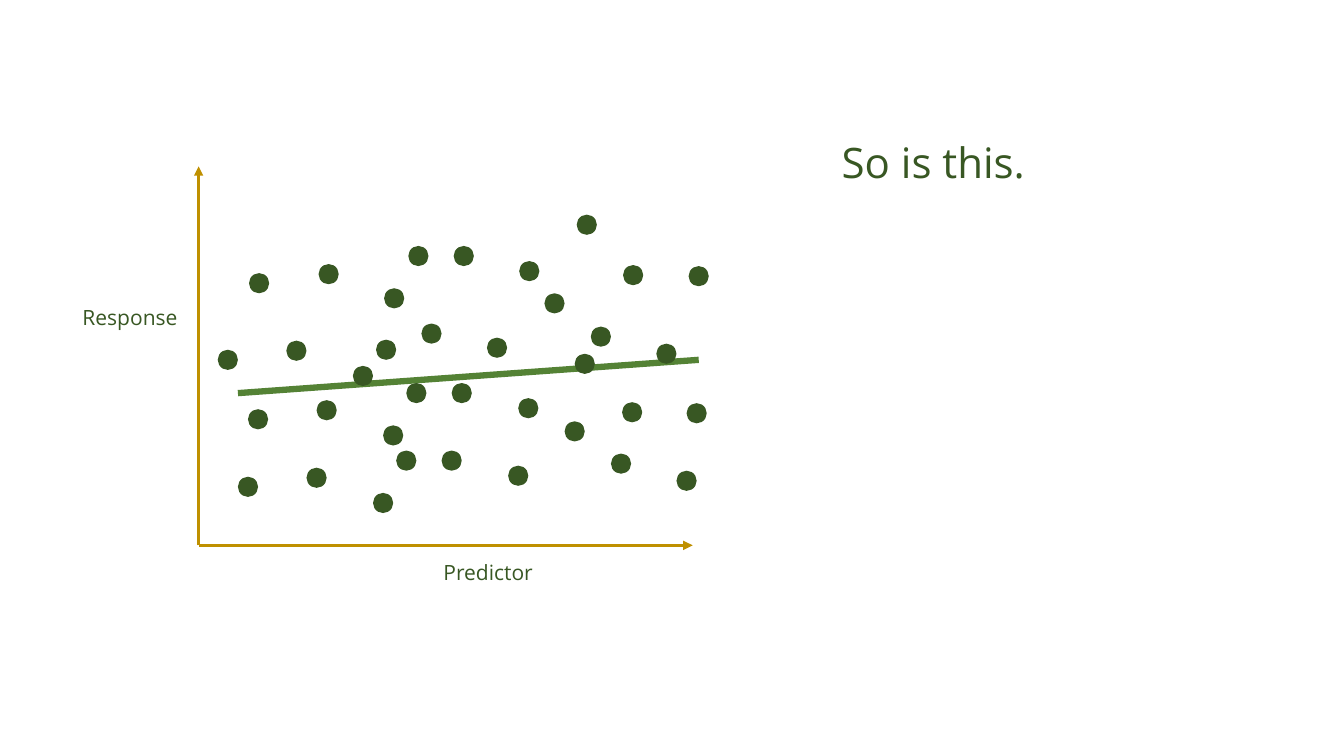
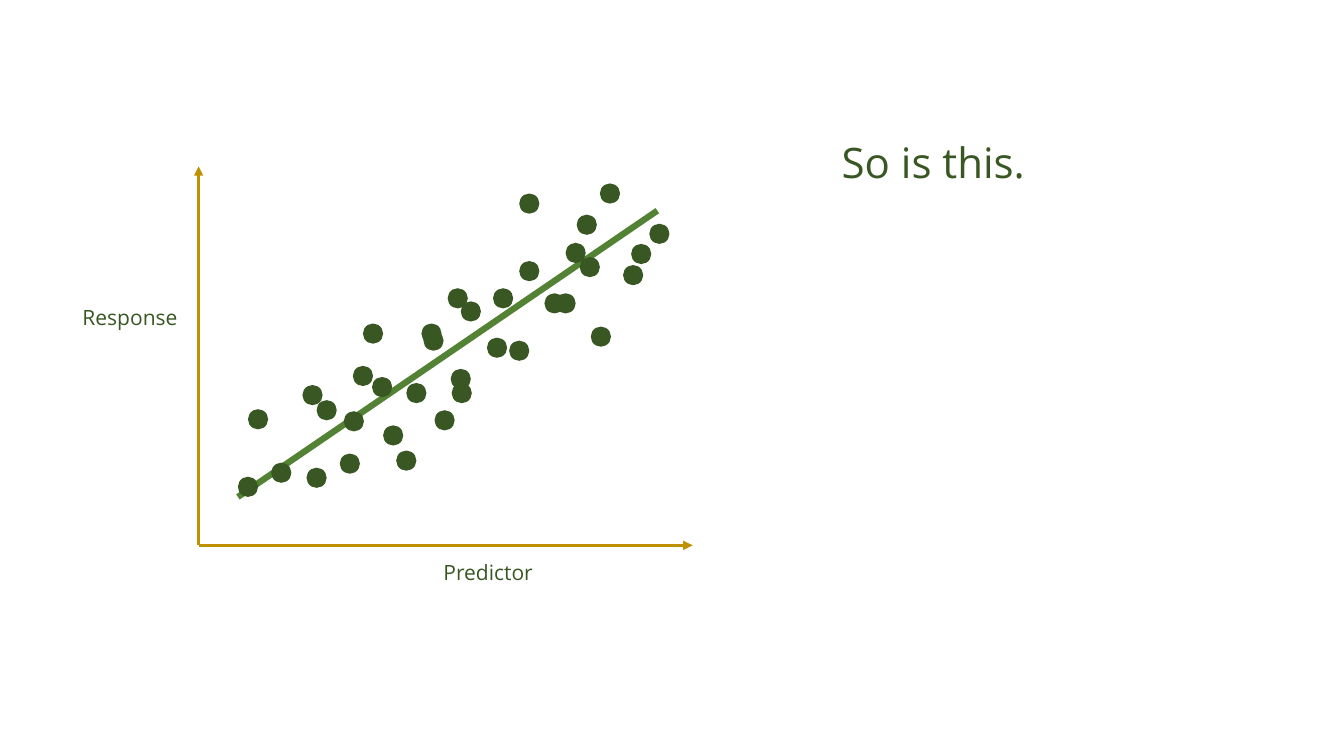
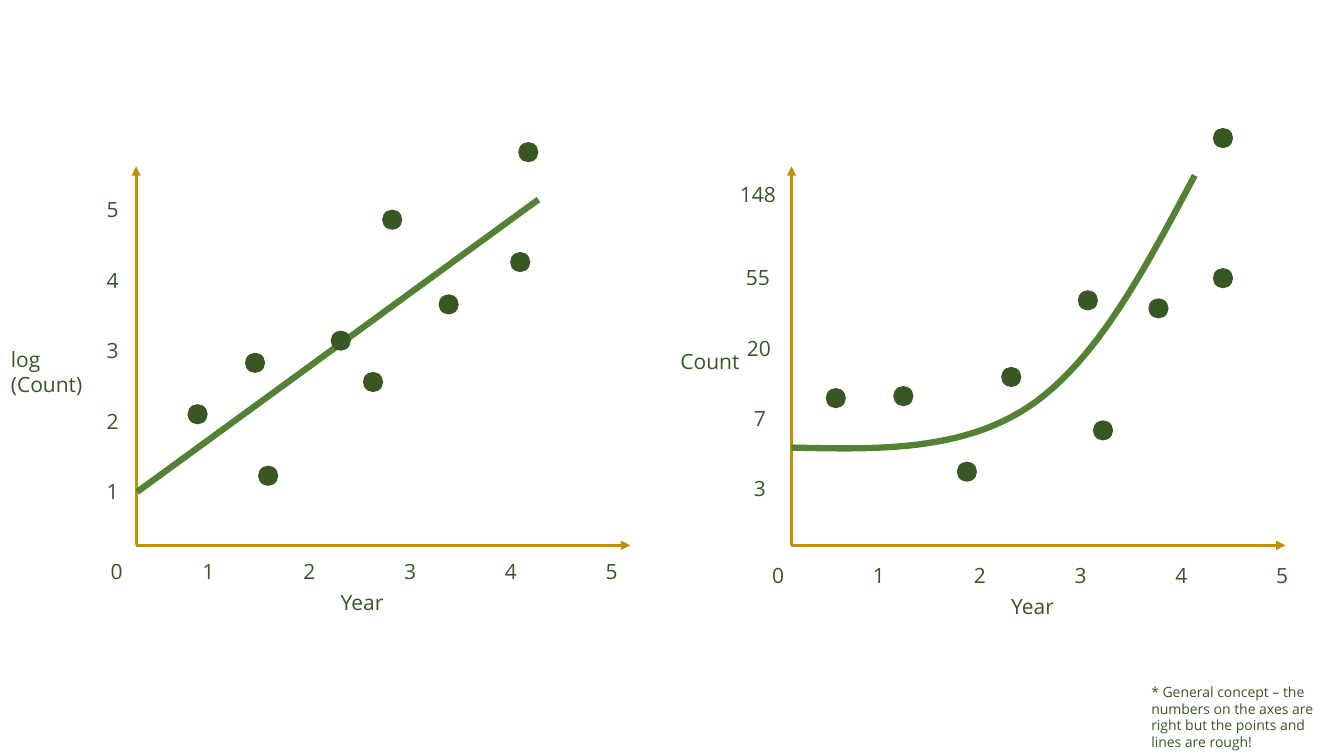
from dataclasses import dataclass

from pptx import Presentation
from pptx import util as u
from pptx.dml.color import RGBColor
from pptx.enum import shapes, text
from pptx.oxml.ns import qn
from lxml import etree


@dataclass(frozen=True)
class Theme:
    font: str = "Open Sans"
    ink: RGBColor = RGBColor.from_string("385723")
    trend: RGBColor = RGBColor.from_string("548235")
    axis: RGBColor = RGBColor.from_string("BF9000")
    statement: int = 30
    label: int = 15
    footnote: int = 10
    axis_width: float = 2.25
    trend_width: float = 4.5


theme = Theme()
deck = Presentation()
deck.slide_width = u.Inches(13.33)
deck.slide_height = u.Inches(7.5)
cell = deck.slide_height / 75


def write(slide, words, col, row, cols=12.6, rows=3.5, size=theme.label):
    box = slide.shapes.add_textbox(*[round(n * cell) for n in (col, row, cols, rows)])
    frame = box.text_frame
    frame.word_wrap = True
    frame.auto_size = text.MSO_AUTO_SIZE.SHAPE_TO_FIT_TEXT
    frame.text = words
    for paragraph in frame.paragraphs:
        paragraph.font.name = theme.font
        paragraph.font.size = u.Pt(size)
        paragraph.font.color.rgb = theme.ink


def draw_line(slide, start, end, color, width, arrow=False):
    ends = [round(n * cell) for n in (*start, *end)]
    line = slide.shapes.add_connector(shapes.MSO_CONNECTOR.STRAIGHT, *ends)
    line.line.color.rgb = color
    line.line.width = u.Pt(width)
    if arrow:
        etree.SubElement(line.line._get_or_add_ln(), qn("a:tailEnd"), type="triangle")
    etree.SubElement(line._element.spPr, qn("a:effectLst"))


shared_dots = [
    (23.6, 47.3), (30.4, 46.4), (39.3, 44.7), (24.6, 40.6), (31.4, 39.7), (38, 42.2),
    (40.3, 38), (44.8, 38), (35, 36.3), (41.8, 32.1), (54, 29.1), (48.3, 33.5),
    (58.6, 32.4), (57.2, 21.3), (51.5, 25.9), (61.8, 26.3),
]
weak_dots = [
    (37, 48.9), (43.8, 44.7), (56, 41.8), (50.4, 46.2), (67.1, 46.7), (60.6, 45),
    (57, 35.1), (51.4, 39.5), (68.1, 40), (61.7, 39.9), (21.6, 34.7), (28.4, 33.8),
    (37.3, 33.7), (65.1, 34.1), (24.7, 27.1), (31.6, 26.2), (38.1, 28.6),
    (40.5, 24.4), (45, 24.4), (68.3, 26.4),
]
strong_dots = [
    (34.1, 40.8), (43.1, 40.7), (50.5, 33.8), (44.7, 36.6), (57.5, 25.5), (55.1, 29.1),
    (51.5, 19.2), (45.7, 29.9), (62.6, 24.2), (56.1, 24.1), (26.9, 45.9), (33.7, 45),
    (36, 32.1), (59.5, 18.2), (30, 38.2), (36.9, 37.4), (42, 32.8), (44.4, 28.6),
    (48.9, 28.6), (64.4, 22.2),
]
log_dots = [
    (25.6, 46.2), (37.9, 20.8), (32.8, 32.8), (43.5, 29.2), (36, 36.9),
    (51.4, 14.1), (50.6, 25), (18.6, 40.1), (24.3, 35),
]
count_dots = [
    (81.9, 38.5), (88.6, 38.3), (94.9, 45.8), (106.9, 28.8), (99.3, 36.4),
    (113.9, 29.6), (108.4, 41.7), (120.3, 12.7), (120.3, 26.6),
]

weak, strong, scales = [deck.slides.add_slide(deck.slide_layouts[6]) for _ in range(3)]

plots = [
    (weak, 19.7, ((23.6, 39), (69.3, 35.7)), shared_dots + weak_dots),
    (strong, 19.7, ((23.6, 49.3), (65.2, 20.9)), shared_dots + strong_dots),
    (scales, 13.5, ((13.6, 48.8), (53.4, 19.8)), log_dots),
    (scales, 78.5, None, count_dots),
]
axis_row, axis_cols, axis_top = 54.1, 49, 16.5
dot = round(2 * cell)

for slide, origin, trend, dots in plots:
    corner = (origin, axis_row)
    for tip in ((origin + axis_cols, axis_row), (origin, axis_top)):
        draw_line(slide, corner, tip, theme.axis, theme.axis_width, arrow=True)
    if trend:
        draw_line(slide, *trend, theme.trend, theme.trend_width)
    for col, row in dots:
        point = slide.shapes.add_shape(
            shapes.MSO_SHAPE.OVAL, round(col * cell), round(row * cell), dot, dot)
        point.shadow.inherit = False
        point.fill.solid()
        point.fill.fore_color.rgb = theme.ink
        point.line.fill.background()

for slide in (weak, strong):
    write(slide, "Predictor", 43, 55, cols=15.7)
    write(slide, "Response", 7.2, 29.7)
    write(slide, "So is this.", 82.5, 13.1, cols=42, rows=6.1, size=theme.statement)

bends = [
    ((78.5, 44.4), (86.9, 44.6), (95.4, 44.8), (102.1, 40.3)),
    ((102.1, 40.3), (108.8, 35.8), (113.6, 26.6), (118.5, 17.4)),
]
steps = 24
curve = []
for bend in bends:
    for step in range(steps + 1):
        t = step / steps
        weights = ((1 - t) ** 3, 3 * t * (1 - t) ** 2, 3 * t ** 2 * (1 - t), t ** 3)
        curve.append([round(cell * sum(w * p[k] for w, p in zip(weights, bend)))
                      for k in (0, 1)])
builder = scales.shapes.build_freeform(*curve[0])
builder.add_line_segments(curve[1:], close=False)
growth = builder.convert_to_shape()
growth.shadow.inherit = False
growth.fill.background()
growth.line.color.rgb = theme.trend
growth.line.width = u.Pt(theme.trend_width)

year_cols = 10
for zero_col, first_col, year_row, title_col in ((10, 19.1, 54.9, 32.8), (75.6, 85.6, 55.3, 99.3)):
    write(scales, "0", zero_col, year_row, cols=4)
    for year in range(1, 6):
        write(scales, str(year), first_col + year_cols * (year - 1), year_row, cols=4)
    write(scales, "Year", title_col, year_row + 3.1, cols=19.9)

counts = [("3", 73.8), ("7", 73.8), ("20", 73.1), ("55", 73), ("148", 72.4)]
for level, (count, count_col) in enumerate(counts):
    write(scales, str(level + 1), 9.6, 47 - 7 * level)
    write(scales, count, count_col, 17.5 if count == "148" else 46.7 - 6.97 * level)

write(scales, "log\n(Count)", 0.1, 33.9, rows=6.1)
write(scales, "Count", 66.5, 34.1, cols=10.9)
write(scales, "* General concept – the numbers on the axes are right but the points and lines are rough!",
      113.2, 67.3, cols=19.9, rows=7.7, size=theme.footnote)

deck.save("out.pptx")
